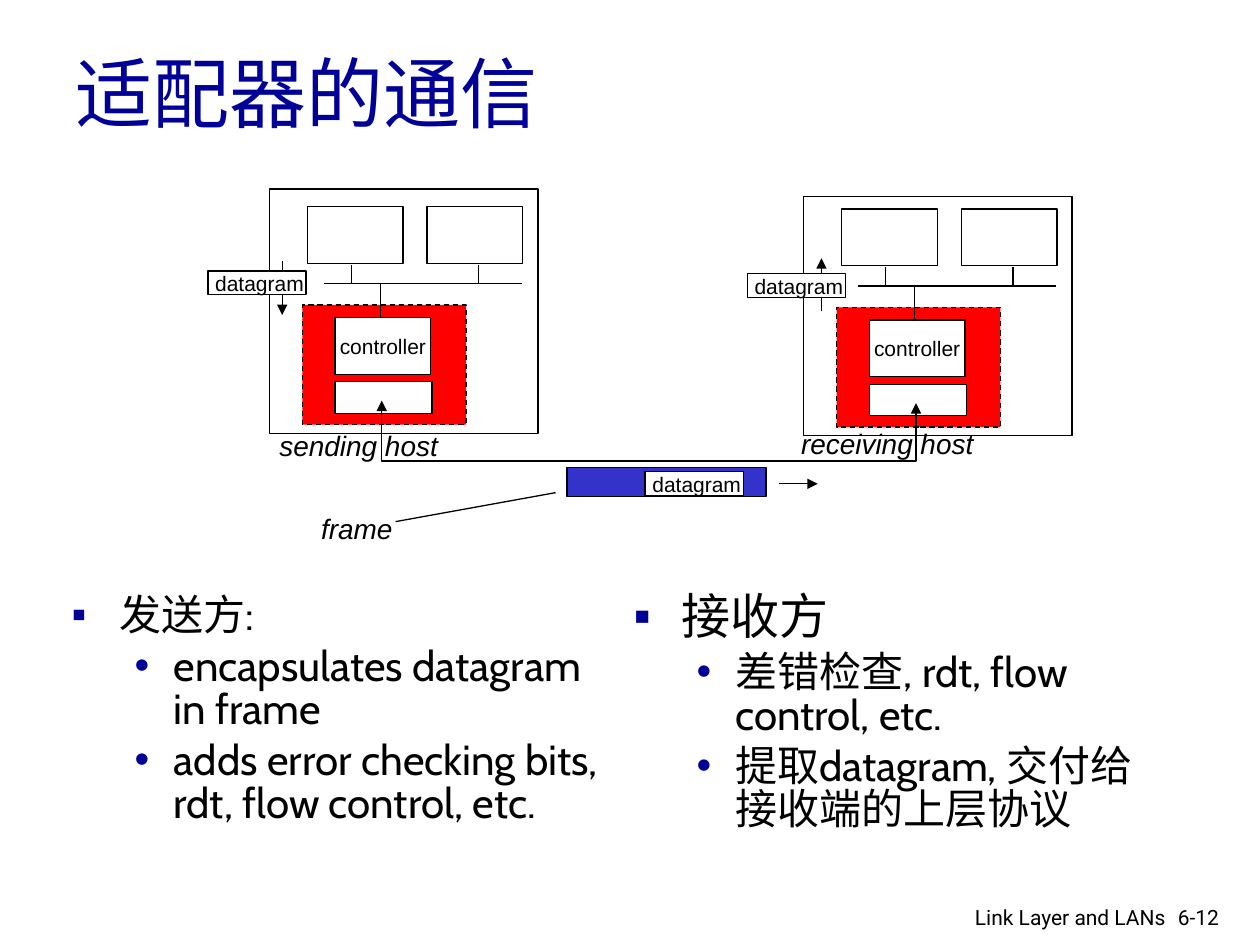
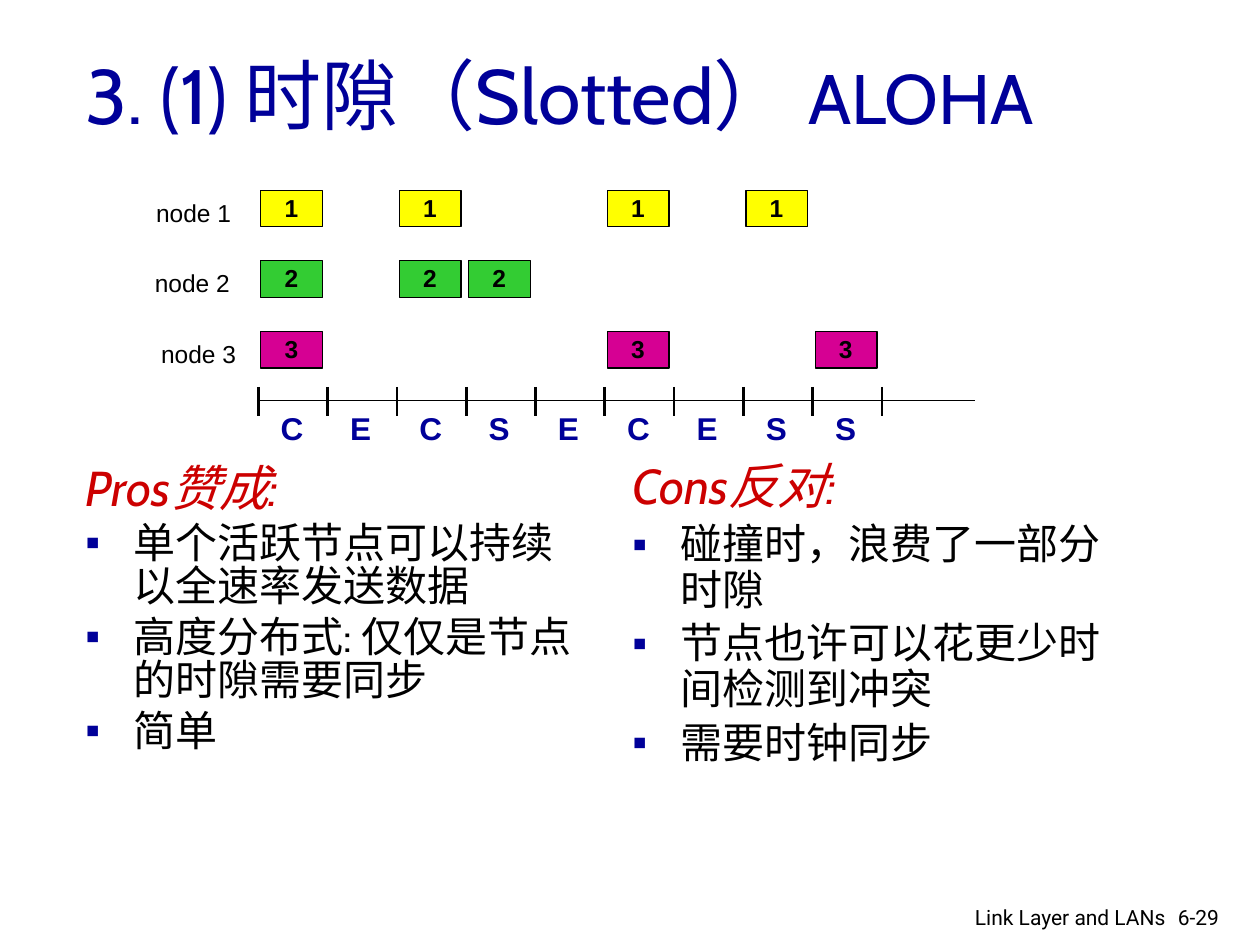
from lxml.etree import SubElement
from pptx import Presentation
from pptx.dml.color import RGBColor
from pptx.enum.dml import MSO_LINE
from pptx.enum.shapes import MSO_CONNECTOR, MSO_SHAPE
from pptx.enum.text import MSO_ANCHOR, MSO_AUTO_SIZE, PP_ALIGN
from pptx.oxml.ns import qn
from pptx.util import Inches, Pt

BLACK, WHITE, NAVY = "000000", "FFFFFF", "000099"
RED, CRIMSON, BLUE = "FF0000", "CC0000", "3333CC"
YELLOW, GREEN, MAGENTA = "FFFF00", "33CC33", "D60093"
TITLE_FONT, LABEL_FONT, FOOTER_FONT = "Cabin", "Arial", "Roboto"

BULLETS = {
    "heading": (0, 0.38, -0.38, None),
    "square": (0, 0.38, -0.38, "▪"),
    "dot": (1, 0.81, -0.31, "•"),
}
NODES = [
    ("node 1", 1.14, YELLOW, (0, 2, 5, 7)),
    ("node 2", 1.13, GREEN, (0, 2, 3)),
    ("node 3", 1.18, MAGENTA, (0, 5, 8)),
]
SLOT_COUNT, SLOT_WIDTH, AXIS_LEFT = 9, 0.55, 2.05


def color(hex_value):
    return RGBColor.from_string(hex_value)


def add_run(paragraph, text, size, font=LABEL_FONT, fill=BLACK, bold=False, italic=False):
    run = paragraph.add_run()
    run.text = text
    run.font.name = font
    run.font.size = Pt(size)
    run.font.bold = bold
    run.font.italic = italic
    run.font.color.rgb = color(fill)


def add_text_frame(slide, left, top, width, height):
    box = slide.shapes.add_textbox(Inches(left), Inches(top), Inches(width), Inches(height))
    box.text_frame.word_wrap = True
    return box.text_frame


def add_label(slide, text, left, top, width, height, size, **style):
    frame = add_text_frame(slide, left, top, width, height)
    frame.margin_right = 0
    frame.auto_size = MSO_AUTO_SIZE.SHAPE_TO_FIT_TEXT
    add_run(frame.paragraphs[0], text, size, **style)


def add_box(slide, left, top, width, height, fill=WHITE):
    shape = slide.shapes.add_shape(
        MSO_SHAPE.RECTANGLE, Inches(left), Inches(top), Inches(width), Inches(height))
    shape.shadow.inherit = False
    shape.fill.solid()
    shape.fill.fore_color.rgb = color(fill)
    style_line(shape)
    return shape


def style_line(shape, weight=0.75, arrows=()):
    shape.line.color.rgb = color(BLACK)
    shape.line.width = Pt(weight)
    outline = shape.line._get_or_add_ln()
    for end in arrows:
        SubElement(outline, qn(f"a:{end}End"), type="triangle")


def add_line(slide, x1, y1, x2, y2, weight=0.75, arrows=()):
    line = slide.shapes.add_connector(
        MSO_CONNECTOR.STRAIGHT, Inches(x1), Inches(y1), Inches(x2), Inches(y2))
    style_line(line, weight, arrows)
    SubElement(line._element.spPr, qn("a:effectLst"))


def add_path(slide, points, arrows):
    start, *others = [(Inches(x), Inches(y)) for x, y in points]
    builder = slide.shapes.build_freeform(*start)
    builder.add_line_segments(others, close=False)
    path = builder.convert_to_shape()
    path.shadow.inherit = False
    path.fill.background()
    style_line(path, arrows=arrows)


def add_title(slide, left, top, width, runs):
    frame = add_text_frame(slide, left, top, width, 1.25)
    frame.vertical_anchor = MSO_ANCHOR.MIDDLE
    for text, size in runs:
        add_run(frame.paragraphs[0], text, size, TITLE_FONT, NAVY)


def add_footer(slide, number):
    frame = add_text_frame(slide, 9.25, 7.13, 0.6, 0.3)
    add_run(frame.paragraphs[0], number, 12, FOOTER_FONT)
    paragraph = add_text_frame(slide, 6.97, 7.13, 2.38, 0.26).paragraphs[0]
    paragraph.alignment = PP_ALIGN.RIGHT
    add_run(paragraph, "Link Layer and LANs", 12, FOOTER_FONT)


def set_bullet(paragraph, kind):
    level, margin, indent, character = BULLETS[kind]
    paragraph.level = level
    properties = paragraph._p.get_or_add_pPr()
    properties.set("marL", str(Inches(margin)))
    properties.set("indent", str(Inches(indent)))
    if character is None:
        SubElement(properties, qn("a:buNone"))
        return
    bullet_color = SubElement(properties, qn("a:buClr"))
    SubElement(bullet_color, qn("a:srgbClr"), val=NAVY)
    SubElement(properties, qn("a:buFont"), typeface=LABEL_FONT)
    SubElement(properties, qn("a:buChar"), char=character)


def add_body(slide, left, top, width, height, items, spacing=0.85):
    frame = add_text_frame(slide, left, top, width, height)
    for index, (kind, text, size) in enumerate(items):
        paragraph = frame.add_paragraph() if index else frame.paragraphs[0]
        set_bullet(paragraph, kind)
        paragraph.line_spacing = spacing
        if index:
            paragraph.space_before = Pt(0.2 * size)
        heading = kind == "heading"
        add_run(paragraph, text, size, TITLE_FONT, CRIMSON if heading else BLACK, italic=heading)


def add_datagram(slide, left, top):
    add_box(slide, left, top, 0.78, 0.19)
    add_label(slide, "datagram", left - 0.04, top - 0.05, 0.9, 0.3, 12)


def add_host(slide, left, top, frame_top):
    add_box(slide, left, frame_top, 2.13, top + 1.94 - frame_top)
    adapter = add_box(slide, left + 0.26, top + 0.92, 1.3, 0.95, RED)
    adapter.line.dash_style = MSO_LINE.DASH
    add_box(slide, left + 0.52, top + 1.53, 0.77, 0.25)
    controller = add_box(slide, left + 0.52, top + 1.02, 0.76, 0.45).text_frame
    controller.word_wrap = False
    controller.vertical_anchor = MSO_ANCHOR.MIDDLE
    controller.paragraphs[0].alignment = PP_ALIGN.CENTER
    add_run(controller.paragraphs[0], "controller", 12)
    bus = top + 0.75
    add_line(slide, left + 0.43, bus, left + 2, bus)
    add_line(slide, left + 0.88, top + 1.02, left + 0.88, bus)
    for box_left, stem in ((0.3, 0.65), (1.25, 1.66)):
        add_box(slide, left + box_left, top + 0.14, 0.76, 0.45)
        add_line(slide, left + stem, bus, left + stem, top + 0.6)


def build_adapter_slide(slide):
    add_title(slide, 0.5, 0.1, 8.5, [("适配器的通信", 44)])
    add_body(slide, 0.47, 4.68, 4.45, 2.12, [
        ("square", "发送方:", 24),
        ("dot", "encapsulates datagram in frame", 24),
        ("dot", "adds error checking bits, rdt, flow control, etc.", 24),
    ])
    add_body(slide, 4.93, 4.67, 4.47, 2.02, [
        ("square", "接收方", 28),
        ("dot", "差错检查, rdt, flow control, etc.", 24),
        ("dot", "提取datagram, 交付给接收端的上层协议", 24),
    ])
    add_host(slide, 2.14, 1.5, 1.5)
    add_host(slide, 6.38, 1.52, 1.56)
    for text, left, top, width in (
        ("sending host", 2.12, 3.35, 1.46),
        ("receiving host", 6.26, 3.34, 1.57),
        ("frame", 2.45, 4.01, 0.77),
    ):
        add_label(slide, text, left, top, width, 0.37, 16, italic=True)
    add_line(slide, 2.24, 2.07, 2.24, 2.5, arrows=["tail"])
    add_datagram(slide, 1.65, 2.15)
    add_line(slide, 6.52, 2.05, 6.52, 2.47, arrows=["head"])
    add_datagram(slide, 5.93, 2.17)
    add_path(slide, [(3.03, 3.18), (3.03, 3.66), (7.27, 3.66), (7.27, 3.2)], ["head", "tail"])
    add_box(slide, 4.5, 3.71, 1.58, 0.23, BLUE)
    add_datagram(slide, 5.12, 3.74)
    add_line(slide, 6.18, 3.84, 6.49, 3.84, arrows=["tail"])
    add_line(slide, 3.14, 4.14, 4.41, 3.91)
    add_footer(slide, "6-12")


def add_slot_diagram(slide):
    for row, (name, name_left, fill, slots) in enumerate(NODES):
        top = 1.51 + 0.56 * row
        add_label(slide, name, name_left, top + 0.01, 0.79, 0.33, 14)
        for slot in slots:
            left = AXIS_LEFT + 0.02 + SLOT_WIDTH * slot
            add_box(slide, left, top, 0.49, 0.29, fill)
            add_label(slide, str(row + 1), left + 0.09, top - 0.03, 0.31, 0.33, 14, bold=True)
    add_line(slide, AXIS_LEFT, 3.18, 7.74, 3.18)
    for tick in range(SLOT_COUNT + 1):
        x = AXIS_LEFT + SLOT_WIDTH * tick
        add_line(slide, x, 3.07, x, 3.3, 1.5)
    for slot in range(SLOT_COUNT):
        senders = sum(slot in slots for _, _, _, slots in NODES)
        outcome = "ESC"[min(senders, 2)]
        left = AXIS_LEFT + 0.08 + SLOT_WIDTH * slot
        add_label(slide, outcome, left, 3.2, 0.37, 0.4, 18, fill=NAVY, bold=True)


def build_aloha_slide(slide):
    add_body(slide, 0.58, 3.65, 4.17, 3.5, [
        ("heading", "Pros赞成:", 28),
        ("square", "单个活跃节点可以持续以全速率发送数据", 24),
        ("square", "高度分布式: 仅仅是节点的时隙需要同步", 24),
        ("square", "简单", 24),
    ])
    add_body(slide, 4.92, 3.62, 4.17, 3.5, [
        ("heading", "Cons反对:", 28),
        ("square", "碰撞时，浪费了一部分时隙", 24),
        ("square", "节点也许可以花更少时间检测到冲突", 24),
        ("square", "需要时钟同步", 24),
    ], spacing=0.9)
    add_title(slide, 0.58, 0.12, 9.26, [("3. (1) 时隙（Slotted） ", 44), ("ALOHA", 40)])
    add_slot_diagram(slide)
    add_footer(slide, "6-29")


def main():
    presentation = Presentation()
    presentation.slide_width = Inches(10)
    presentation.slide_height = Inches(7.5)
    for build in (build_adapter_slide, build_aloha_slide):
        build(presentation.slides.add_slide(presentation.slide_layouts[6]))
    presentation.save("out.pptx")


if __name__ == "__main__":
    main()
